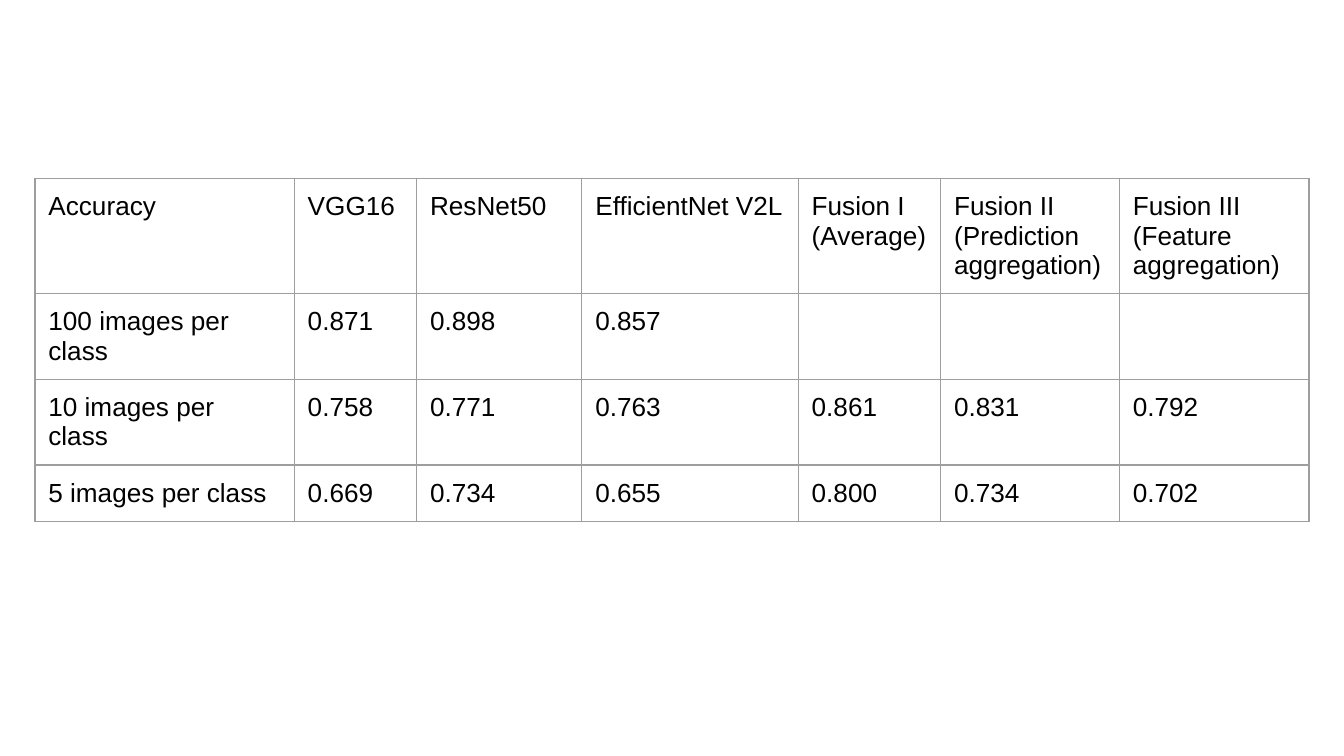
"""Build a slide with a table of model accuracy by training set size."""
from lxml import etree
from pptx import Presentation
from pptx.dml.color import RGBColor
from pptx.oxml.ns import qn
from pptx.util import Inches, Pt

BLACK = RGBColor(0x00, 0x00, 0x00)
GRAY = RGBColor(0x9E, 0x9E, 0x9E)
COLUMN_WIDTHS = [1.93, 0.91, 1.23, 1.61, 1.06, 1.33, 1.41]
ROW_HEIGHTS = [0.54, 0.54, 0.42, 0.42]
ROWS = [
    ["Accuracy", "VGG16", "ResNet50", "EfficientNet V2L", "Fusion I\n(Average)",
     "Fusion II\n(Prediction aggregation)", "Fusion III\n(Feature aggregation)"],
    ["100 images per class", "0.871", "0.898", "0.857", "", "", ""],
    ["10 images per class", "0.758", "0.771", "0.763", "0.861", "0.831", "0.792"],
    ["5 images per class", "0.669", "0.734", "0.655", "0.800", "0.734", "0.702"],
]


def add_borders(cell, color, width):
    properties = cell._tc.get_or_add_tcPr()
    for side in ("a:lnL", "a:lnR", "a:lnT", "a:lnB"):
        line = etree.SubElement(properties, qn(side), w=str(width))
        fill = etree.SubElement(line, qn("a:solidFill"))
        etree.SubElement(fill, qn("a:srgbClr"), val=str(color))


deck = Presentation()
deck.slide_width = Inches(10)
deck.slide_height = Inches(10 * 9 / 16)
page = deck.slides.add_slide(deck.slide_layouts[6])

frame = page.shapes.add_table(
    len(ROWS), len(COLUMN_WIDTHS), Inches(0.26), Inches(1.33),
    Inches(sum(COLUMN_WIDTHS)), Inches(sum(ROW_HEIGHTS)))
table = frame.table
table.first_row = False
table.horz_banding = False
for column, width in zip(table.columns, COLUMN_WIDTHS):
    column.width = Inches(width)

for row, height, texts in zip(table.rows, ROW_HEIGHTS, ROWS):
    row.height = Inches(height)
    for cell, text in zip(row.cells, texts):
        cell.text = text
        cell.margin_left = cell.margin_right = Inches(0.1)
        cell.margin_top = cell.margin_bottom = Inches(0.1)
        add_borders(cell, GRAY, Pt(0.75))
        cell.fill.background()
        for para in cell.text_frame.paragraphs:
            para.font.name = "Arial"
            para.font.size = Pt(14)
            para.font.color.rgb = BLACK

deck.save("out.pptx")
